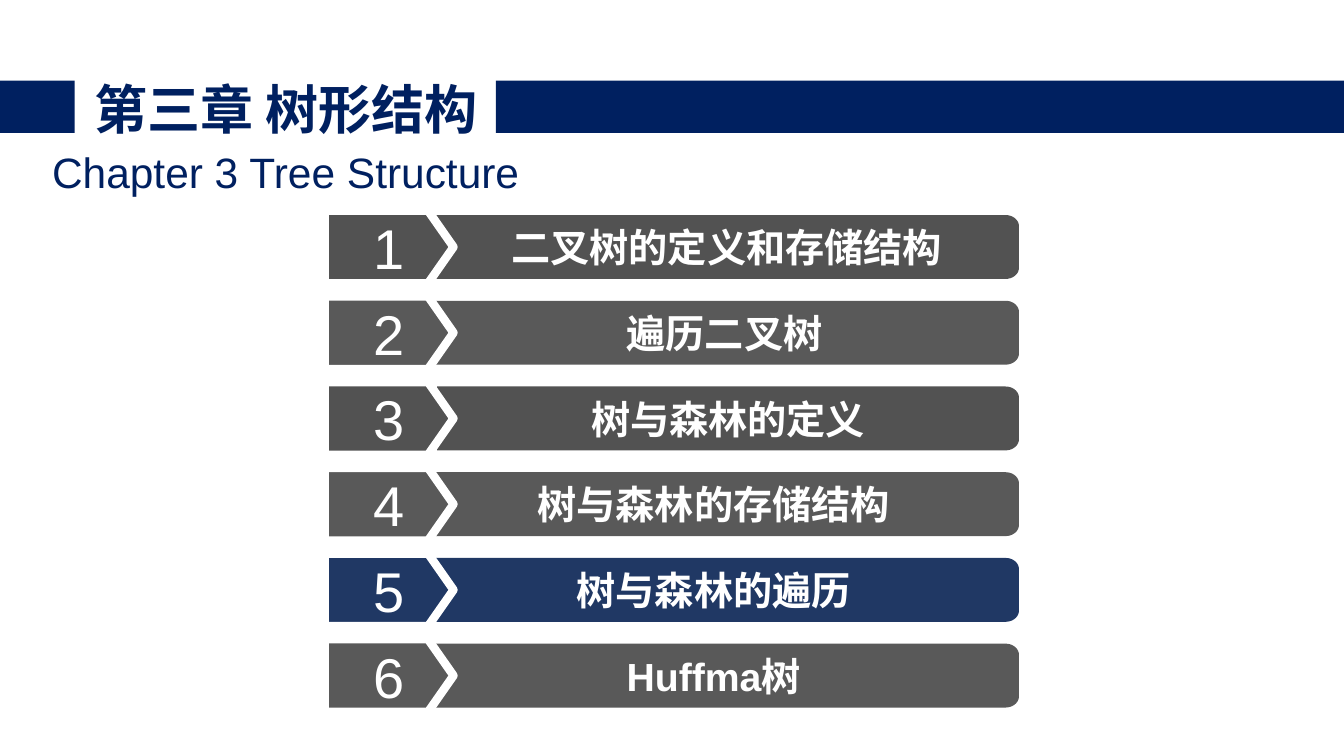
from dataclasses import dataclass
from math import cos, radians, sin

from pptx import Presentation
from pptx.dml.color import RGBColor
from pptx.enum.shapes import MSO_SHAPE
from pptx.enum.text import MSO_ANCHOR, MSO_AUTO_SIZE, PP_ALIGN
from pptx.util import Cm, Pt

NAVY = RGBColor(0x00, 0x20, 0x60)
BLUE = RGBColor(0x20, 0x38, 0x64)
DARK = RGBColor(0x52, 0x52, 0x52)
GRAY = RGBColor(0x59, 0x59, 0x59)
WHITE = RGBColor(0xFF, 0xFF, 0xFF)

TITLE = {"name": "Arial", "size": Pt(37.9), "bold": True}
SUB = {"name": "Arial", "size": Pt(30.3), "bold": False}
LABEL = {"name": "Arial", "size": Pt(28), "bold": True}
DIGIT = {"name": "Arial", "size": Pt(40), "bold": False}

TOP, PITCH = 5.31, 2.16
TAG_LEFT, TAG_WIDTH, TAG_HEIGHT = 8.18, 3.25, 1.83
BAR_RIGHT, BAR_HEIGHT = 25.68, 1.61
ROUND_X, ROUND_Y = 0.34, 0.28


@dataclass
class Row:
    text: str
    fill: RGBColor = GRAY
    left: float = 10.29
    inset: float = 0


ROWS = [
    Row("二叉树的定义和存储结构", DARK, 10.95),
    Row("遍历二叉树", inset=0.55),
    Row("树与森林的定义", DARK, 11.02),
    Row("树与森林的存储结构"),
    Row("树与森林的遍历", BLUE),
    Row("Huffma树"),
]


def write(shape, text: str, style: dict, color: RGBColor,
          anchor=MSO_ANCHOR.MIDDLE, inset: float = 0) -> None:
    frame = shape.text_frame
    form = {
        "text": text, "word_wrap": True, "auto_size": MSO_AUTO_SIZE.NONE,
        "vertical_anchor": anchor, "margin_left": Cm(inset),
        "margin_right": 0, "margin_top": 0, "margin_bottom": 0,
    }
    for name, value in form.items():
        setattr(frame, name, value)
    line = frame.paragraphs[0]
    form = {"alignment": PP_ALIGN.CENTER, "space_before": Pt(0), "line_spacing": 1.0}
    for name, value in form.items():
        setattr(line, name, value)
    font = line.runs[0].font
    for name, value in style.items():
        setattr(font, name, value)
    font.color.rgb = color


def place(shape, left: float, top: float, width: float, height: float) -> None:
    form = {"left": left, "top": top, "width": width, "height": height}
    for name, value in form.items():
        setattr(shape, name, Cm(value))


def paint(shape, fill: RGBColor) -> None:
    shape.shadow.inherit = False
    shape.fill.solid()
    shape.fill.fore_color.rgb = fill
    shape.line.fill.background()


def add_band(slide, left: float, width: float) -> None:
    band = slide.shapes.add_shape(
        MSO_SHAPE.RECTANGLE, Cm(left), Cm(2.03), Cm(width), Cm(1.32))
    paint(band, NAVY)


def add_bar(slide, row: Row, top: float) -> None:
    end = top + BAR_HEIGHT
    turns = [radians(step) for step in range(0, 91, 10)]
    lower = [(BAR_RIGHT - ROUND_X * (1 - cos(turn)),
              end - ROUND_Y * (1 - sin(turn))) for turn in turns]
    upper = [(x, top + end - y) for x, y in reversed(lower)]
    points = lower + [(row.left, end), (row.left, top)] + upper
    spots = [(Cm(x), Cm(y)) for x, y in points]
    pen = slide.shapes.build_freeform(*spots[0])
    pen.add_line_segments(spots[1:], close=True)
    bar = pen.convert_to_shape()
    paint(bar, row.fill)
    write(bar, row.text, LABEL, WHITE, inset=row.inset)


def add_tag(slide, row: Row, top: float, count: int) -> None:
    tag = slide.shapes.add_shape(
        MSO_SHAPE.PENTAGON, Cm(TAG_LEFT), Cm(top), Cm(TAG_WIDTH), Cm(TAG_HEIGHT))
    tag.adjustments[0] = 0.35
    paint(tag, row.fill)
    tag.line.color.rgb = WHITE
    tag.line.width = Pt(6)
    write(tag, str(count), DIGIT, WHITE, inset=0.32)


def main() -> None:
    deck = Presentation()
    deck.slide_width, deck.slide_height = Cm(33.87), Cm(19.05)
    slide = deck.slides.add_slide(deck.slide_layouts[0])
    title, sub = slide.placeholders
    place(title, 2.11, 1.91, 10.19, 1.63)
    write(title, "第三章 树形结构", TITLE, NAVY)
    place(sub, 0.51, 3.68, 13.39, 1.3)
    write(sub, "Chapter 3 Tree Structure", SUB, NAVY, MSO_ANCHOR.TOP)
    add_band(slide, 0, 1.88)
    add_band(slide, 12.5, 21.37)
    for index, row in enumerate(ROWS):
        top = TOP + index * PITCH
        add_bar(slide, row, top + (TAG_HEIGHT - BAR_HEIGHT) / 2)
        add_tag(slide, row, top, index + 1)
    deck.save("out.pptx")


if __name__ == "__main__":
    main()
